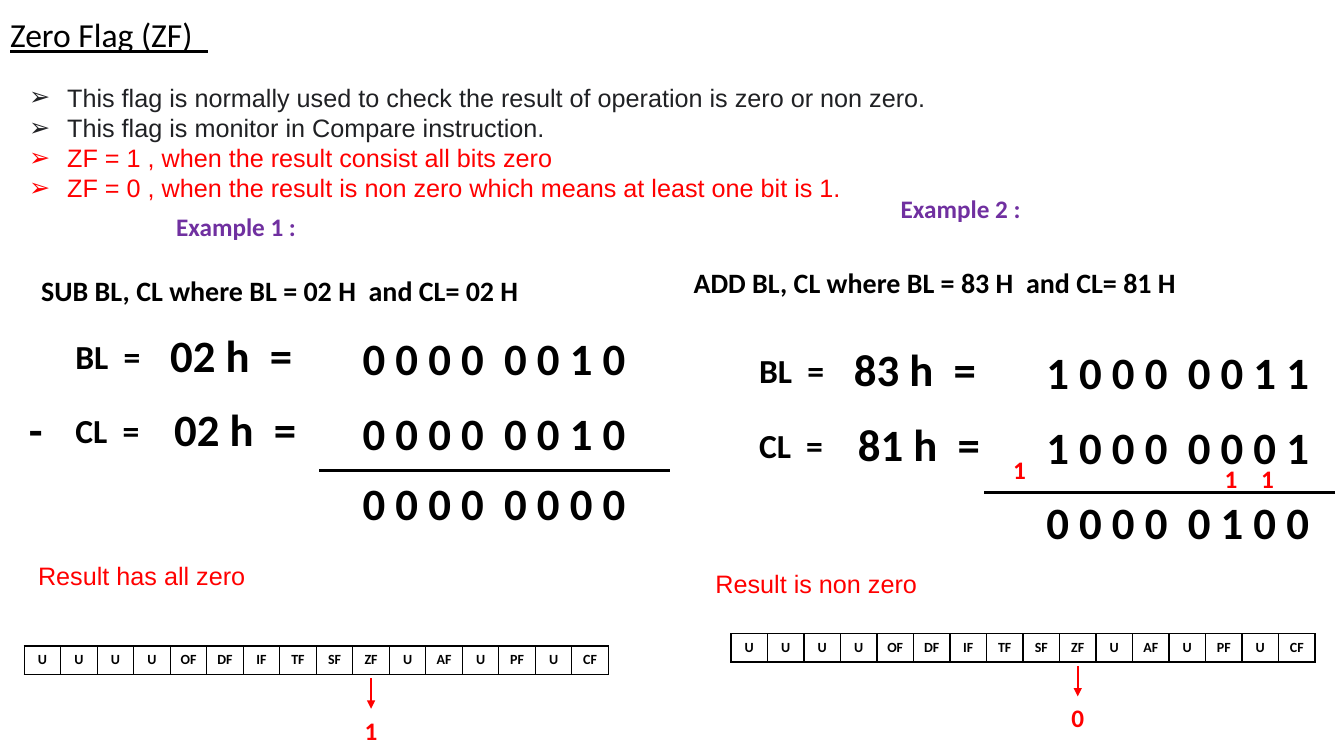
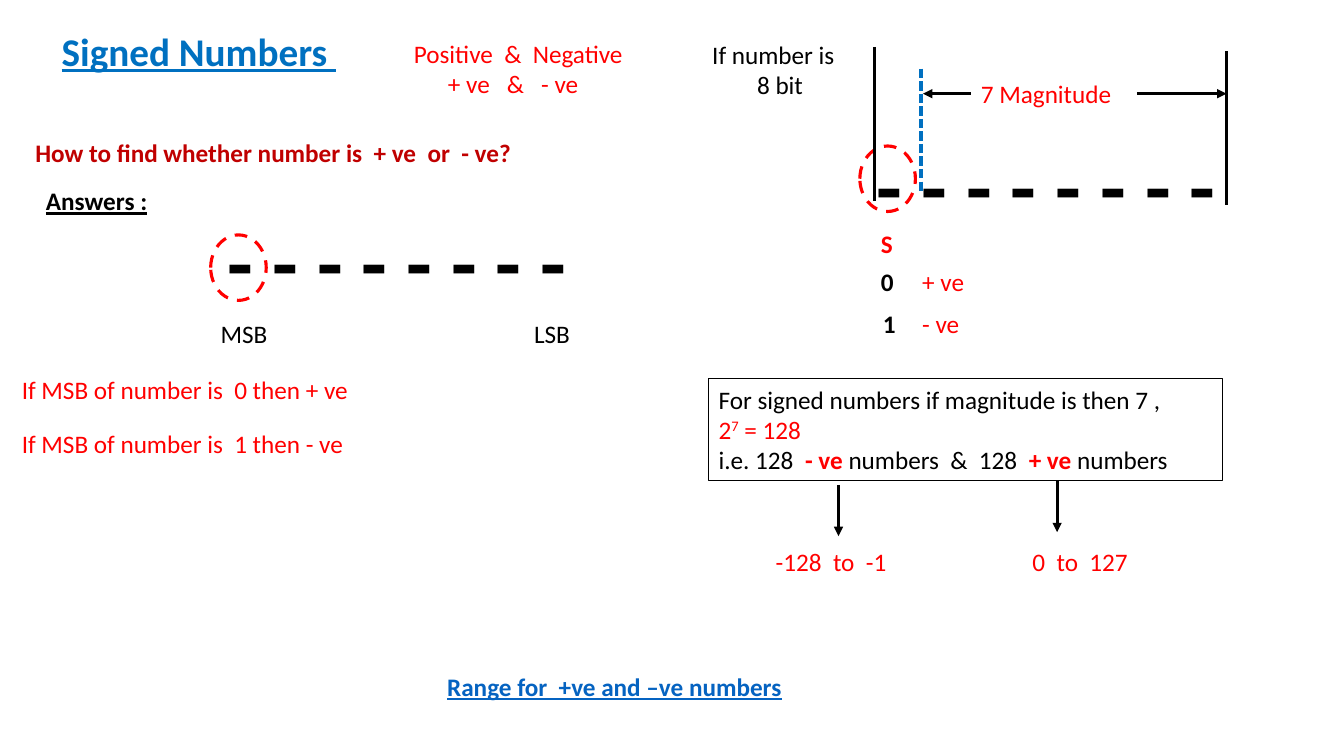
from dataclasses import dataclass

from lxml import etree
from pptx import Presentation
from pptx.dml.color import RGBColor
from pptx.enum.dml import MSO_LINE
from pptx.enum.shapes import MSO_CONNECTOR, MSO_SHAPE
from pptx.enum.text import MSO_ANCHOR, MSO_AUTO_SIZE, PP_ALIGN
from pptx.oxml.ns import qn
from pptx.util import Cm, Pt

STRAIGHT = MSO_CONNECTOR.STRAIGHT
ELLIPSE, RECTANGLE = MSO_SHAPE.OVAL, MSO_SHAPE.RECTANGLE
DASH, SHORT_DASH = MSO_LINE.DASH, MSO_LINE.SQUARE_DOT
LEFT, CENTER = PP_ALIGN.LEFT, PP_ALIGN.CENTER
TOP, MIDDLE = MSO_ANCHOR.TOP, MSO_ANCHOR.MIDDLE
TITLE_AND_BODY, TITLE_ONLY = 1, 5


@dataclass(frozen=True)
class Theme:
    main_font: str = "Calibri"
    note_font: str = "Arial"
    black: str = "000000"
    ink: str = "202124"
    red: str = "FF0000"
    dark_red: str = "C00000"
    purple: str = "7030A0"
    blue: str = "0070C0"
    link_blue: str = "0563C1"
    tiny: int = 10
    text: int = 18
    lead: int = 20
    title: int = 24
    headline: int = 28
    digits: int = 32
    dashes: int = 60
    hairline: float = 0.75
    grid: float = 1
    pointer: float = 1.5
    rule: float = 2.25


@dataclass(frozen=True)
class Example:
    """One worked sum; every *_at is the (left, top) of a region in cm."""
    label: str
    operation: str
    first: int
    second: int
    note: str
    label_at: tuple
    instruction_at: tuple
    sum_at: tuple
    note_at: tuple
    register_at: tuple
    rule_offset: tuple
    result_offset: float
    carry_offsets: tuple = ()

    @property
    def result(self):
        total = (self.first - self.second if self.operation == "SUB"
                 else self.first + self.second)
        return total & 0xFF


THEME = Theme()
FLAGS = "U U U U OF DF IF TF SF ZF U AF U PF U CF".split()
FLAG_RULES = [
    ("This flag is normally used to check the result of operation is zero or non zero.",
     THEME.ink),
    ("This flag is monitor in Compare instruction.", THEME.ink),
    ("ZF = 1 , when the result consist all bits zero", THEME.red),
    ("ZF = 0 , when the result is non zero which means at least one bit is 1.", THEME.red),
]
EXAMPLES = [
    Example("Example 1 :", "SUB", 0x02, 0x02, "Result has all zero",
            label_at=(4.19, 5.21), instruction_at=(0.79, 6.76), sum_at=(1.65, 8.13),
            note_at=(0.71, 14), register_at=(0.61, 16.28),
            rule_offset=(6.4, 3.73), result_offset=3.73),
    Example("Example 2 :", "ADD", 0x83, 0x81, "Result is non zero",
            label_at=(22.45, 4.75), instruction_at=(17.23, 6.56), sum_at=(18.88, 8.49),
            note_at=(17.78, 14.2), register_at=(18.42, 15.97),
            rule_offset=(5.92, 3.93), result_offset=3.86,
            carry_offsets=((6.4, 2.84), (11.73, 3.07), (12.65, 3.07))),
]


# Text
def write_text(frame, lines, size=THEME.text, color=THEME.black, font=THEME.main_font,
               bold=False, underline=False, align=LEFT, anchor=TOP, bullet=False,
               indents=()):
    """Each line is a string or a list of (text, overrides) spans."""
    frame.word_wrap = True
    frame.auto_size = MSO_AUTO_SIZE.NONE
    frame.vertical_anchor = anchor
    lines = [lines] if isinstance(lines, str) else lines
    for index, line in enumerate(lines):
        para = frame.paragraphs[0] if index == 0 else frame.add_paragraph()
        para.alignment = align
        para.space_before = Pt(0)
        properties = para._p.get_or_add_pPr()
        if bullet:
            properties.set("marL", str(Cm(0.96)))
            properties.set("indent", str(-Cm(0.96)))
            etree.SubElement(properties, qn("a:buChar")).set("char", "➢")
        elif indents:
            properties.set("marL", str(Cm(indents[index])))
        for text, changes in [(line, {})] if isinstance(line, str) else line:
            span = para.add_run()
            span.text = text
            span.font.name = font
            span.font.size = Pt(size)
            span.font.bold = changes.get("bold", bold)
            span.font.underline = underline
            span.font.color.rgb = RGBColor.from_string(changes.get("color", color))
            if changes.get("superscript"):
                span._r.get_or_add_rPr().set("baseline", "30000")


def move(shape, left, top, width, height):
    shape.left, shape.top = Cm(left), Cm(top)
    shape.width, shape.height = Cm(width), Cm(height)


def add_text(page, lines, left, top, width=5, height=1.02, **style):
    box = page.shapes.add_textbox(Cm(left), Cm(top), Cm(width), Cm(height))
    write_text(box.text_frame, lines, **style)


def add_title(page, text, left, top, width, height, **style):
    move(page.shapes.title, left, top, width, height)
    write_text(page.shapes.title.text_frame, text, underline=True, **style)


# Lines and shapes
def add_line(page, start, end, color=THEME.black, weight=THEME.rule, dash=None,
             arrow=False):
    line = page.shapes.add_connector(STRAIGHT, *(Cm(value) for value in start + end))
    line.line.color.rgb = RGBColor.from_string(color)
    line.line.width = Pt(weight)
    if dash:
        line.line.dash_style = dash
    if arrow:
        etree.SubElement(line.line._get_or_add_ln(), qn("a:tailEnd")).set("type", "triangle")
    etree.SubElement(line._element.spPr, qn("a:effectLst"))


def add_outline(page, kind, left, top, width, height, color, weight):
    shape = page.shapes.add_shape(kind, Cm(left), Cm(top), Cm(width), Cm(height))
    shape.shadow.inherit = False
    shape.fill.background()
    shape.line.color.rgb = RGBColor.from_string(color)
    shape.line.width = Pt(weight)
    return shape


def set_borders(cell):
    properties = cell._tc.get_or_add_tcPr()
    for position, side in enumerate(("lnL", "lnR", "lnT", "lnB")):
        border = etree.Element(qn(f"a:{side}"), w=str(Pt(THEME.grid)))
        fill = etree.SubElement(border, qn("a:solidFill"))
        etree.SubElement(fill, qn("a:srgbClr")).set("val", THEME.black)
        properties.insert(position, border)


# Zero flag regions
def spaced_bits(number):
    bits = f"{number:08b}"
    return "  ".join(" ".join(nibble) for nibble in (bits[:4], bits[4:]))


def flag_register(page, left, top, value):
    column, height = 0.92, 0.71
    frame = page.shapes.add_table(1, len(FLAGS), Cm(left), Cm(top),
                                  Cm(column * len(FLAGS)), Cm(height))
    table = frame.table
    table.first_row = table.horz_banding = False
    table.rows[0].height = Cm(height)
    for index, flag in enumerate(FLAGS):
        table.columns[index].width = Cm(column)
        cell = table.cell(0, index)
        cell.margin_left = cell.margin_right = 0
        cell.fill.background()
        set_borders(cell)
        cell.vertical_anchor = MIDDLE
        write_text(cell.text_frame, flag, size=THEME.tiny, bold=True, align=CENTER,
                   anchor=MIDDLE)
    # Pointer from the zero flag to its value
    center = left + column * (FLAGS.index("ZF") + 0.5)
    add_line(page, (center, top + 0.81), (center, top + 1.58), THEME.red,
             THEME.pointer, arrow=True)
    add_text(page, value, center - 0.5, top + 1.61, 1, color=THEME.red, bold=True,
             align=CENTER)


def binary_sum(page, left, top, example):
    row_step, bits_left, rule_length = 1.88, 7.24, 8.84
    big = {"size": THEME.digits, "bold": True, "height": 1.63}
    # Operands
    for row, (name, number) in enumerate((("BL", example.first), ("CL", example.second))):
        row_top = top + row_step * row
        add_text(page, f"{name}  =", left, row_top + 0.2, 2.6, 1.27,
                 size=THEME.title, bold=True)
        add_text(page, f"{number:02X} h  =", left + 2.39 + 0.1 * row, row_top, 4.2, **big)
        add_text(page, spaced_bits(number), left + bits_left, row_top + 0.08, 7.6, **big)
    if example.operation == "SUB":
        add_text(page, "-", left - 1.17, top + row_step, 1.2, **big)
    # Rule, result and carries
    rule_left, rule_top = left + example.rule_offset[0], top + example.rule_offset[1]
    add_line(page, (rule_left, rule_top), (rule_left + rule_length, rule_top))
    add_text(page, spaced_bits(example.result), left + bits_left,
             top + example.result_offset, 7.6, **big)
    for carry_left, carry_top in example.carry_offsets:
        add_text(page, "1", left + carry_left, top + carry_top, 0.9,
                 color=THEME.red, bold=True)


def worked_example(page, example):
    instruction = (f"{example.operation} BL, CL where BL = {example.first:02X} H"
                   f"  and CL= {example.second:02X} H")
    add_text(page, example.label, *example.label_at, color=THEME.purple, bold=True)
    add_text(page, instruction, *example.instruction_at, 15, 1.12,
             size=THEME.lead, bold=True)
    binary_sum(page, *example.sum_at, example)
    add_text(page, example.note, *example.note_at, 10.6, font=THEME.note_font,
             color=THEME.red)
    flag_register(page, *example.register_at, "1" if example.result == 0 else "0")


def zero_flag_page(deck):
    page = deck.slides.add_slide(deck.slide_layouts[TITLE_AND_BODY])
    add_title(page, "Zero Flag (ZF)  ", 0, 0.23, 8, 1.27, size=THEME.title)
    body = page.placeholders[1]
    move(body, 0.48, 1.94, 31.62, 4.11)
    write_text(body.text_frame, [[(rule, {"color": color})] for rule, color in FLAG_RULES],
               font=THEME.note_font, bullet=True)
    for example in EXAMPLES:
        worked_example(page, example)


# Signed number regions
def bit_row(page, left, top, ring_top):
    add_text(page, " ".join("-" * 8), left, top, 10.24, 2.82, size=THEME.dashes, bold=True)
    ring = add_outline(page, ELLIPSE, left - 0.18, top + ring_top, 1.4, 1.65,
                       THEME.red, THEME.rule)
    ring.line.dash_style = DASH


def sign_question(page, left, top):
    add_text(page, "How to find whether number is  + ve  or  - ve?", left + 0.34, top,
             16, color=THEME.dark_red, bold=True)
    add_text(page, "Answers :", left + 0.61, top + 1.22, bold=True, underline=True)
    bit_row(page, left + 5.19, top + 1.83, 0.76)
    for name, name_left in (("MSB", 5.01), ("LSB", 12.91)):
        add_text(page, name, left + name_left, top + 4.57, 2)
    for row, answer in enumerate(("0 then + ve", "1 then - ve")):
        add_text(page, f"If MSB of number is  {answer}", left, top + 5.97 + 1.37 * row,
                 12.75, color=THEME.red)


def magnitude_diagram(page, left, top):
    first_bound, divider, last_bound = left + 4.33, left + 5.51, left + 13.21
    add_text(page, ["If number is", "8 bit"], left, top, 4.3, 1.8, indents=(0, 1.13))
    bit_row(page, left + 4.15, top + 2.37, 0.45)
    # Bounds and sign divider
    for bound, bound_top in ((first_bound, top + 0.32), (last_bound, top + 0.43)):
        add_line(page, (bound, bound_top), (bound, bound_top + 3.88))
    add_line(page, (divider, top + 0.87), (divider, top + 4.02),
             THEME.blue, dash=SHORT_DASH)
    # Width of the magnitude
    label_left, arrow_top = left + 6.77, top + 1.5
    for start, end in ((label_left, divider + 0.05), (left + 10.95, last_bound)):
        add_line(page, (start, arrow_top), (end, arrow_top), arrow=True)
    add_text(page, "7 Magnitude", label_left, top + 0.99, 4, color=THEME.red)
    # Sign values
    add_text(page, "S", left + 4.25, top + 4.78, 1, color=THEME.red, bold=True)
    for row, (bit, sign) in enumerate((("0", "+ ve"), ("1", "- ve"))):
        row_top = top + 5.73 + 1.05 * row
        add_text(page, bit, left + 4.25 + 0.05 * row, row_top, 0.9, bold=True)
        add_text(page, sign, left + 5.29, row_top, 2, color=THEME.red)


def range_summary(page, left, top):
    height, arrow_length = 2.57, 1.29
    red, strong = {"color": THEME.red}, {"color": THEME.red, "bold": True}
    panel = add_outline(page, RECTANGLE, left, top, 12.95, height, THEME.black,
                        THEME.hairline)
    write_text(panel.text_frame, [
        "For signed numbers if magnitude is then 7 ,",
        [("2", red), ("7", {**red, "superscript": True}), (" = 128", red)],
        [("i.e. 128  ", {}), ("- ve ", strong), ("numbers  &  128  ", {}),
         ("+ ve ", strong), ("numbers", {})],
    ])
    # Range of each sign
    for label, label_left, arrow_left, gap in (
            ("-128  to  -1", 1.44, 3.27, 0.1), ("0  to  127", 7.91, 8.78, 0)):
        arrow_x, arrow_top = left + arrow_left, top + height + gap
        add_line(page, (arrow_x, arrow_top), (arrow_x, arrow_top + arrow_length), arrow=True)
        add_text(page, label, left + label_left, top + 4.09, 3.8, color=THEME.red)


def signed_numbers_page(deck):
    page = deck.slides.add_slide(deck.slide_layouts[TITLE_ONLY])
    add_title(page, "Signed Numbers ", 1.3, 0.56, 9.4, 1.45, size=THEME.headline,
              color=THEME.blue, bold=True)
    add_text(page, ["Positive  &  Negative", "+ ve   &   - ve"], 10.18, 0.84, 7, 1.8,
             color=THEME.red, indents=(0, 0.86))
    sign_question(page, 0.3, 3.33)
    magnitude_diagram(page, 17.7, 0.86)
    range_summary(page, 17.86, 9.55)
    add_text(page, "Range for  +ve and –ve numbers", 11.02, 16.79, 9.37,
             color=THEME.link_blue, bold=True, underline=True)


def main():
    deck = Presentation()
    deck.slide_width, deck.slide_height = Cm(33.87), Cm(19.05)
    zero_flag_page(deck)
    signed_numbers_page(deck)
    deck.save("out.pptx")


if __name__ == "__main__":
    main()
